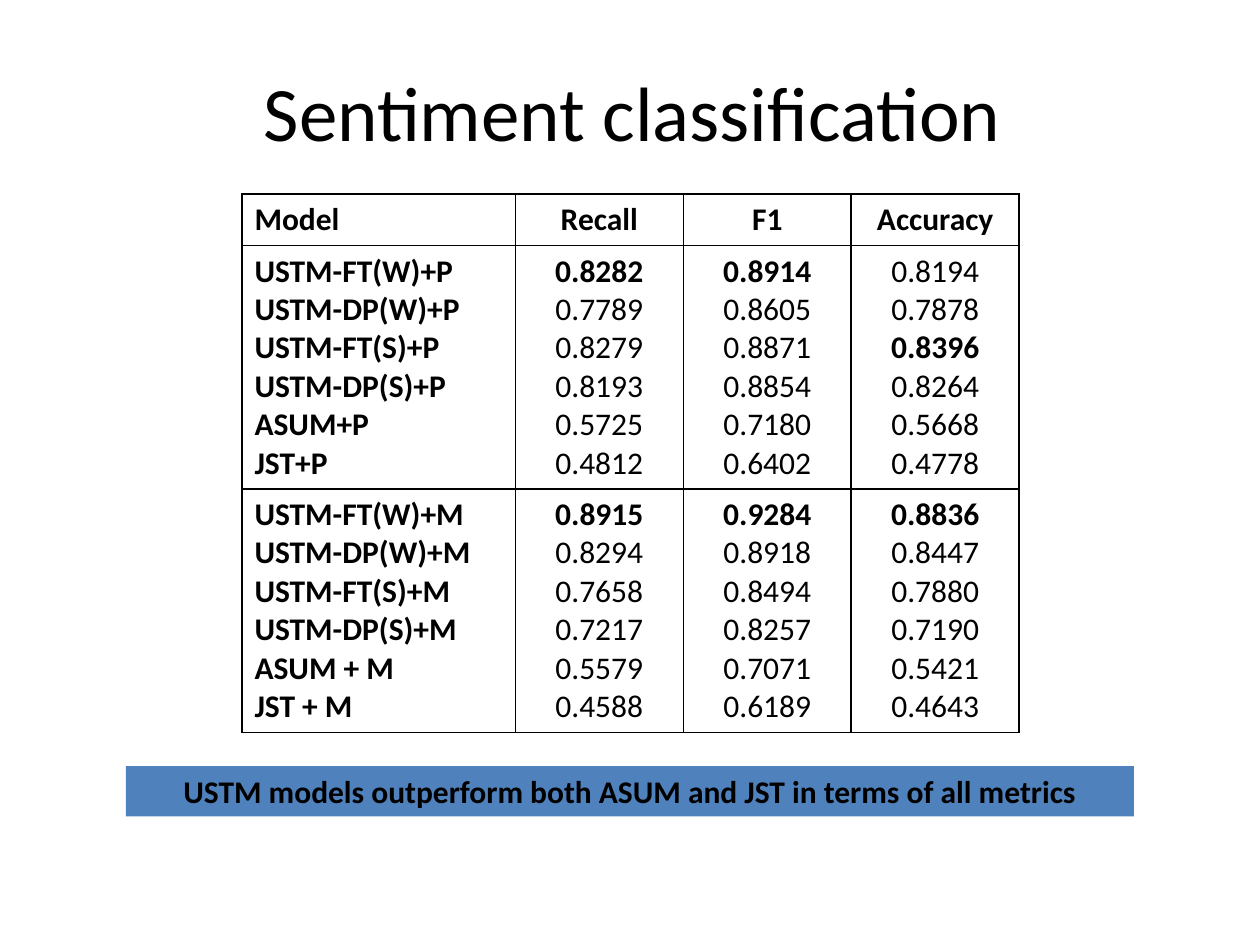
from dataclasses import dataclass

from lxml.etree import SubElement
from pptx import Presentation
from pptx.dml.color import RGBColor
from pptx.enum.shapes import MSO_SHAPE
from pptx.enum.text import MSO_ANCHOR, PP_ALIGN
from pptx.oxml.ns import qn
from pptx.util import Inches, Pt


@dataclass(frozen=True)
class Theme:
    """Colours, typeface and sizes of the slide."""
    font: str = "Calibri"
    ink: str = "000000"
    band: str = "4F81BD"
    title_size: int = 44
    body_size: int = 18
    border_width: int = 1


THEME = Theme()
HEADINGS = ["Model", "Recall", "F1", "Accuracy"]
PRIOR_P = [
    ("USTM-FT(W)+P", "0.8282", "0.8914", "0.8194"),
    ("USTM-DP(W)+P", "0.7789", "0.8605", "0.7878"),
    ("USTM-FT(S)+P", "0.8279", "0.8871", "0.8396"),
    ("USTM-DP(S)+P", "0.8193", "0.8854", "0.8264"),
    ("ASUM+P", "0.5725", "0.7180", "0.5668"),
    ("JST+P", "0.4812", "0.6402", "0.4778"),
]
PRIOR_M = [
    ("USTM-FT(W)+M", "0.8915", "0.9284", "0.8836"),
    ("USTM-DP(W)+M", "0.8294", "0.8918", "0.8447"),
    ("USTM-FT(S)+M", "0.7658", "0.8494", "0.7880"),
    ("USTM-DP(S)+M", "0.7217", "0.8257", "0.7190"),
    ("ASUM + M", "0.5579", "0.7071", "0.5421"),
    ("JST + M", "0.4588", "0.6189", "0.4643"),
]


def apply(target, settings):
    """Set each named attribute on the target."""
    for name, value in settings.items():
        setattr(target, name, value)


def write(paragraph, text, size, bold, align):
    """Fill a paragraph with one formatted run."""
    paragraph.alignment = align
    run = paragraph.add_run()
    run.text = text
    apply(run.font, {"name": THEME.font, "size": Pt(size), "bold": bold})
    run.font.color.rgb = RGBColor.from_string(THEME.ink)


def place(part, box):
    """Move a shape to a box given in inches."""
    apply(part, dict(zip(("left", "top", "width", "height"), map(Inches, box))))


def add_title(slide, box, text):
    """Place the slide title."""
    title = slide.shapes.title
    place(title, box)
    title.text_frame.vertical_anchor = MSO_ANCHOR.MIDDLE
    write(title.text_frame.paragraphs[0], text, THEME.title_size, False, PP_ALIGN.CENTER)


def outline(cell):
    """Clear the cell fill and draw its four borders."""
    properties = cell._tc.get_or_add_tcPr()
    for side in ("a:lnL", "a:lnR", "a:lnT", "a:lnB"):
        border = SubElement(properties, qn(side), w=str(Pt(THEME.border_width)))
        paint = SubElement(border, qn("a:solidFill"))
        SubElement(paint, qn("a:srgbClr"), val=THEME.ink)
    cell.fill.background()


def add_scores(slide, box, groups):
    """Place the score table, with the best score of each group in bold."""
    row_count, column_count = len(groups) + 1, len(HEADINGS)
    model_width, header_height = 2.17, 0.41
    scores = slide.shapes.add_table(row_count, column_count, *map(Inches, box)).table
    apply(scores, {"first_row": False, "horz_banding": False})
    for index, column in enumerate(scores.columns):
        column.width = Inches((box[2] - model_width) / (column_count - 1) if index else model_width)
    for index, row in enumerate(scores.rows):
        row.height = Inches((box[3] - header_height) / len(groups) if index else header_height)
    for row_index, group in enumerate([[HEADINGS], *groups]):
        for column_index, entries in enumerate(zip(*group)):
            cell = scores.cell(row_index, column_index)
            outline(cell)
            align = PP_ALIGN.CENTER if column_index else PP_ALIGN.LEFT
            for line, entry in enumerate(entries):
                frame = cell.text_frame
                paragraph = frame.add_paragraph() if line else frame.paragraphs[0]
                bold = column_index == 0 or entry == max(entries)
                write(paragraph, entry, THEME.body_size, bold, align)


def add_conclusion(slide, box, text):
    """Place the filled band that states the finding."""
    band = slide.shapes.add_shape(MSO_SHAPE.RECTANGLE, *map(Inches, box))
    band.shadow.inherit = False
    band.fill.solid()
    band.fill.fore_color.rgb = RGBColor.from_string(THEME.band)
    band.line.fill.background()
    apply(band.text_frame, {"word_wrap": True, "vertical_anchor": MSO_ANCHOR.TOP})
    write(band.text_frame.paragraphs[0], text, THEME.body_size, True, PP_ALIGN.CENTER)


def main():
    """Build and save the slide."""
    deck = Presentation()
    apply(deck, {"slide_width": Inches(10), "slide_height": Inches(7.5)})
    slide = deck.slides.add_slide(deck.slide_layouts.get_by_name("Title Only"))
    add_title(slide, (0.52, 0.25, 9, 1.25), "Sentiment classification")
    add_scores(slide, (1.92, 1.54, 6.17, 4.21), [PRIOR_P, PRIOR_M])
    add_conclusion(slide, (1, 6.08, 8, 0.4),
                   "USTM models outperform both ASUM and JST in terms of all metrics")
    deck.save("out.pptx")


if __name__ == "__main__":
    main()
